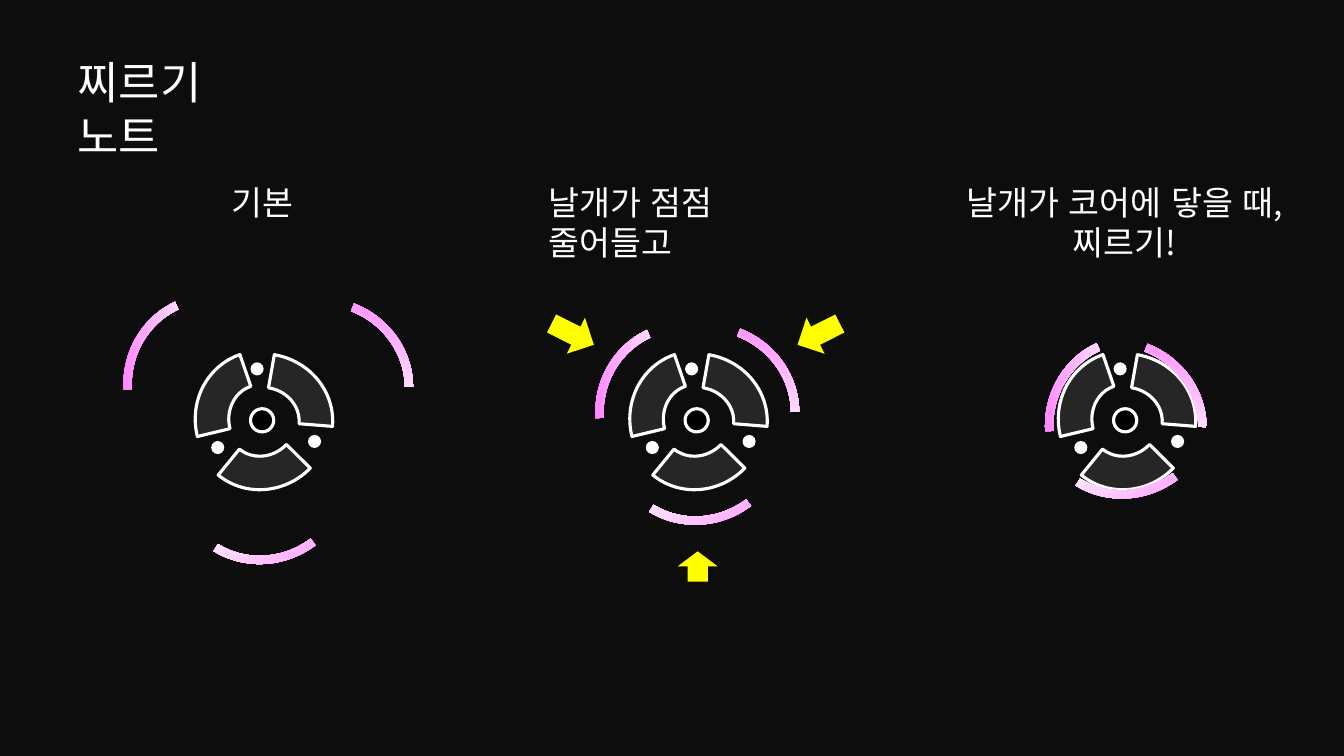
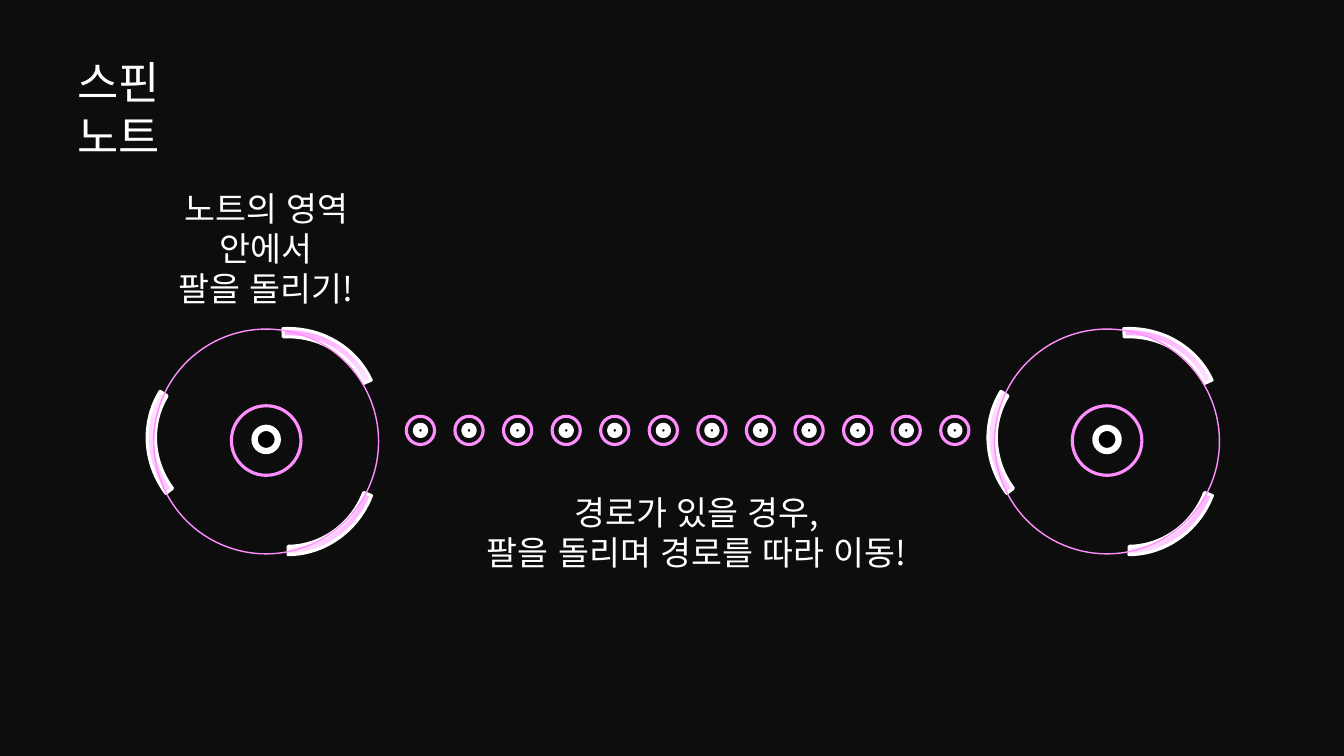
from copy import deepcopy

from pptx import Presentation
from pptx.dml.color import RGBColor
from pptx.enum.lang import MSO_LANGUAGE_ID as LANG
from pptx.enum.shapes import MSO_SHAPE as SHAPE
from pptx.enum.text import MSO_ANCHOR as ANCHOR, MSO_AUTO_SIZE as AUTO_SIZE, PP_ALIGN as ALIGN
from pptx.oxml.ns import qn
from pptx.util import Inches, Pt

BACKDROP = RGBColor(0x0D, 0x0D, 0x0D)
BLACK = RGBColor(0, 0, 0)
WHITE = RGBColor(0xFF, 0xFF, 0xFF)
CHARCOAL = RGBColor(0x26, 0x26, 0x26)
MAGENTA = RGBColor(0xFF, 0x66, 0xFF)
PINK = RGBColor(0xFF, 0x8F, 0xFF)
YELLOW = RGBColor(0xFF, 0xFF, 0)

FONT = "Noto Sans CJK KR"
TITLE_SIZE = 32
CAPTION_SIZE = 24
LINE_PITCH = 1.19

WING_SIZE = (1.82, 1.75)
WING_ARC = (165.264, 206.8, 0.047)
CORE_SIZE = (1.39, 1.33)
CORE_ARC = (165.264, 0, 0.25)
CORE_ANGLES = (129.4, 4.6, 251.1)
STAB_WING_ANGLES = (16.1, 138.2, 261.7)


def put_text(frame, paragraphs, size, align):
    frame.auto_size = AUTO_SIZE.NONE
    frame.word_wrap = align == ALIGN.LEFT
    frame.vertical_anchor = ANCHOR.TOP
    frame.margin_left = frame.margin_right = Inches(0.1)
    frame.margin_top = Inches(0.08)
    frame.margin_bottom = Inches(0)
    for index, lines in enumerate(paragraphs):
        paragraph = frame.add_paragraph() if index else frame.paragraphs[0]
        paragraph.alignment = align
        paragraph.line_spacing = Pt(size * LINE_PITCH)
        paragraph.space_before = Pt(0)
        for number, line in enumerate(lines):
            if number:
                paragraph.add_line_break()
            run = paragraph.add_run()
            run.text = line
            font = run.font
            font.size = Pt(size)
            font.name = FONT
            font.color.rgb = WHITE
            font.language_id = LANG.KOREAN
            latin = font._element.find(qn("a:latin"))
            east_asian = latin.makeelement(qn("a:ea"), {"typeface": FONT})
            latin.addnext(east_asian)


def add_titled_slide(deck, lines, width):
    slide = deck.slides.add_slide(deck.slide_layouts[5])
    title = slide.shapes.title
    title.left, title.top = Inches(0.67), Inches(0.47)
    title.width, title.height = Inches(width), Inches(1.16)
    put_text(title.text_frame, [lines], TITLE_SIZE, ALIGN.LEFT)
    return slide


def add_caption(slide, left, top, width, height, paragraphs, align=ALIGN.CENTER):
    box = slide.shapes.add_textbox(Inches(left), Inches(top), Inches(width), Inches(height))
    put_text(box.text_frame, paragraphs, CAPTION_SIZE, align)


def add_figure(shapes, kind, left, top, size, fill=None, line=None, line_width=2.25, angle=0):
    width, height = size
    figure = shapes.add_shape(kind, Inches(left), Inches(top), Inches(width), Inches(height))
    figure.shadow.inherit = False
    figure.rotation = angle
    if fill is None:
        figure.fill.background()
    else:
        figure.fill.solid()
        figure.fill.fore_color.rgb = fill
    if line is None:
        figure.line.fill.background()
    else:
        figure.line.color.rgb = line
        figure.line.width = Pt(line_width)
    return figure


def add_circle(shapes, center, diameter, **style):
    x, y = center
    radius = diameter / 2
    add_figure(shapes, SHAPE.OVAL, x - radius, y - radius, (diameter, diameter), **style)


def add_arc(shapes, left, top, size, bounds, **style):
    arc = add_figure(shapes, SHAPE.BLOCK_ARC, left, top, size, **style)
    for index, bound in enumerate(bounds):
        arc.adjustments[index] = bound
    return arc


def add_wing(shapes, left, top, angle, tint, middle, line=None):
    wing = add_arc(shapes, left, top, WING_SIZE, WING_ARC, line=line, angle=angle)
    wing.fill.gradient()
    wing.fill.gradient_angle = 270
    first_stop = wing._element.spPr.find(qn("a:gradFill")).find(qn("a:gsLst"))[0]
    first_stop.addnext(deepcopy(first_stop))
    stops = zip(wing.fill.gradient_stops, (0, middle, 1), (tint, WHITE, tint))
    for stop, position, color in stops:
        stop.position = position
        stop.color.rgb = color


def add_stab_note(slide, center_x, wing_places):
    note = slide.shapes.add_group_shape().shapes
    add_circle(note, (center_x, 4.17), 0.23, fill=BLACK, line=WHITE)
    for angle in CORE_ANGLES:
        add_arc(note, center_x - 0.69, 3.51, CORE_SIZE, CORE_ARC,
                fill=CHARCOAL, line=WHITE, angle=angle)
    for dx, y in ((-0.05, 3.66), (-0.44, 4.44), (0.52, 4.38)):
        add_circle(note, (center_x + dx, y), 0.13, fill=WHITE)
    for (left, top), angle in zip(wing_places, STAB_WING_ANGLES):
        add_wing(note, left, top, angle, MAGENTA, 0.54)


def add_spin_note(slide, center_x):
    note = slide.shapes.add_group_shape().shapes
    add_circle(note, (center_x, 4.36), 0.23, fill=BLACK, line=WHITE, line_width=4.5)
    for dx, top, angle in ((-0.68, 3.72, 106.1), (-1.2, 3.5, 228.2), (-0.7, 3.26, 351.7)):
        add_wing(note, center_x + dx, top, angle, PINK, 0.53, line=WHITE)
    add_circle(note, (center_x, 4.38), 2.23, line=PINK, line_width=1)
    add_circle(note, (center_x, 4.37), 0.69, line=PINK)


def add_route(slide, first_x, last_x, count):
    route = slide.shapes.add_group_shape().shapes
    step = (last_x - first_x) / (count - 1)
    for index in range(count):
        center = (first_x + index * step, 4.27)
        add_circle(route, center, 0.09, fill=BLACK, line=WHITE, line_width=4.5)
        add_circle(route, center, 0.28, line=PINK)


def build_stab_slide(deck):
    slide = add_titled_slide(deck, ["찌르기", "노트"], 2.36)
    add_stab_note(slide, 2.6, ((2.28, 2.95), (1.7, 3.83), (1.19, 2.95)))
    add_stab_note(slide, 6.91, ((6.11, 3.2), (6.02, 3.44), (5.87, 3.23)))
    add_stab_note(slide, 11.16, ((10.15, 3.35), (10.25, 3.18), (10.33, 3.36)))
    add_caption(slide, 2.19, 1.73, 0.82, 0.5, [["기본"]])
    add_caption(slide, 5.34, 1.73, 3.13, 0.91, [["날개가 점점", "줄어들고"]], ALIGN.LEFT)
    add_caption(slide, 9.5, 1.73, 3.31, 0.91, [["날개가 코어에 닿을 때,"], ["찌르기!"]])
    for left, top, height, angle in ((6.72, 5.47, 0.3, 0), (7.92, 3.08, 0.47, 243.3),
                                     (5.48, 3.08, 0.47, 116.7)):
        add_figure(slide.shapes, SHAPE.UP_ARROW, left, top, (0.4, height),
                   fill=YELLOW, angle=angle)


def build_spin_slide(deck):
    slide = add_titled_slide(deck, ["스핀", "노트"], 1.95)
    add_spin_note(slide, 2.64)
    add_route(slide, 4.17, 9.47, 12)
    add_spin_note(slide, 10.98)
    add_caption(slide, 1.23, 1.79, 2.82, 1.3, [["노트의 영역", "안에서"], ["팔을 돌리기!"]])
    add_caption(slide, 4.75, 4.8, 4.32, 0.91,
                [["경로가 있을 경우,"], ["팔을 돌리며 경로를 따라 이동!"]])


def main():
    deck = Presentation()
    deck.slide_width, deck.slide_height = Inches(13.33), Inches(7.5)
    backdrop = deck.slide_master.background.fill
    backdrop.solid()
    backdrop.fore_color.rgb = BACKDROP
    build_stab_slide(deck)
    build_spin_slide(deck)
    deck.save("out.pptx")


main()
